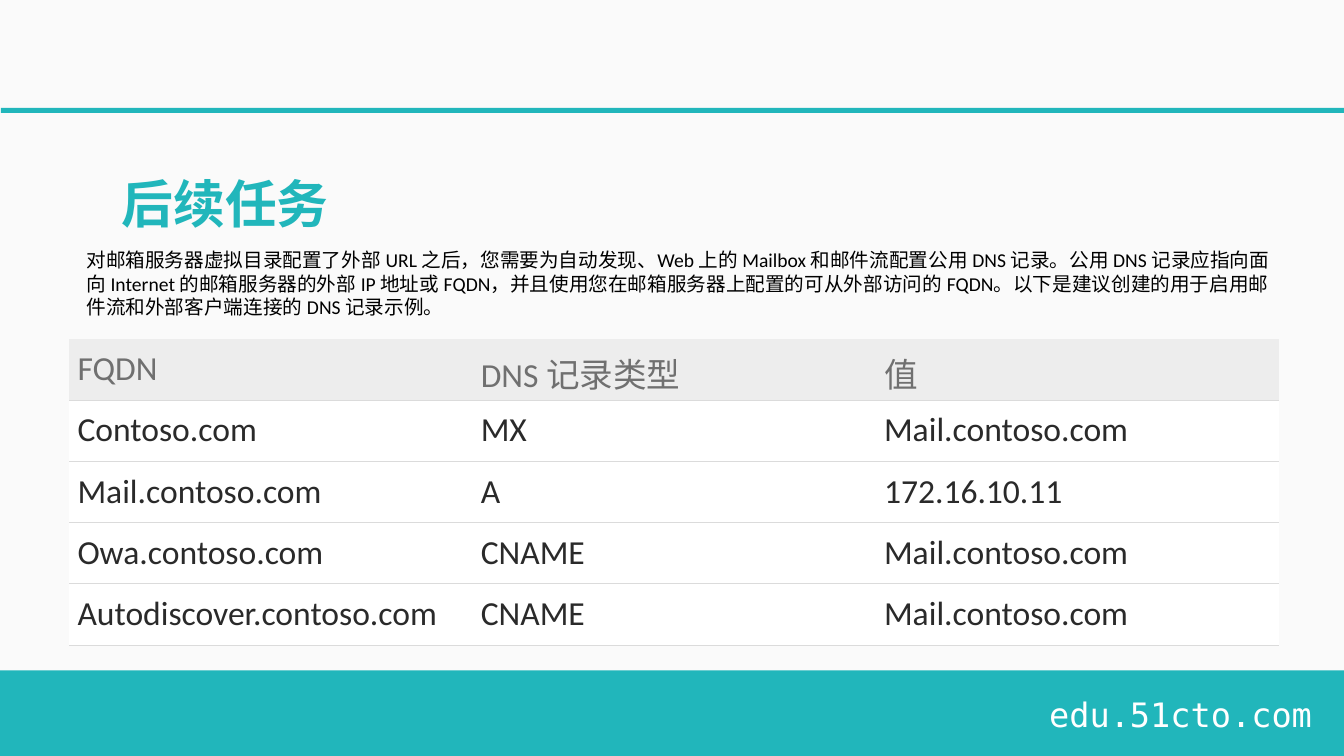
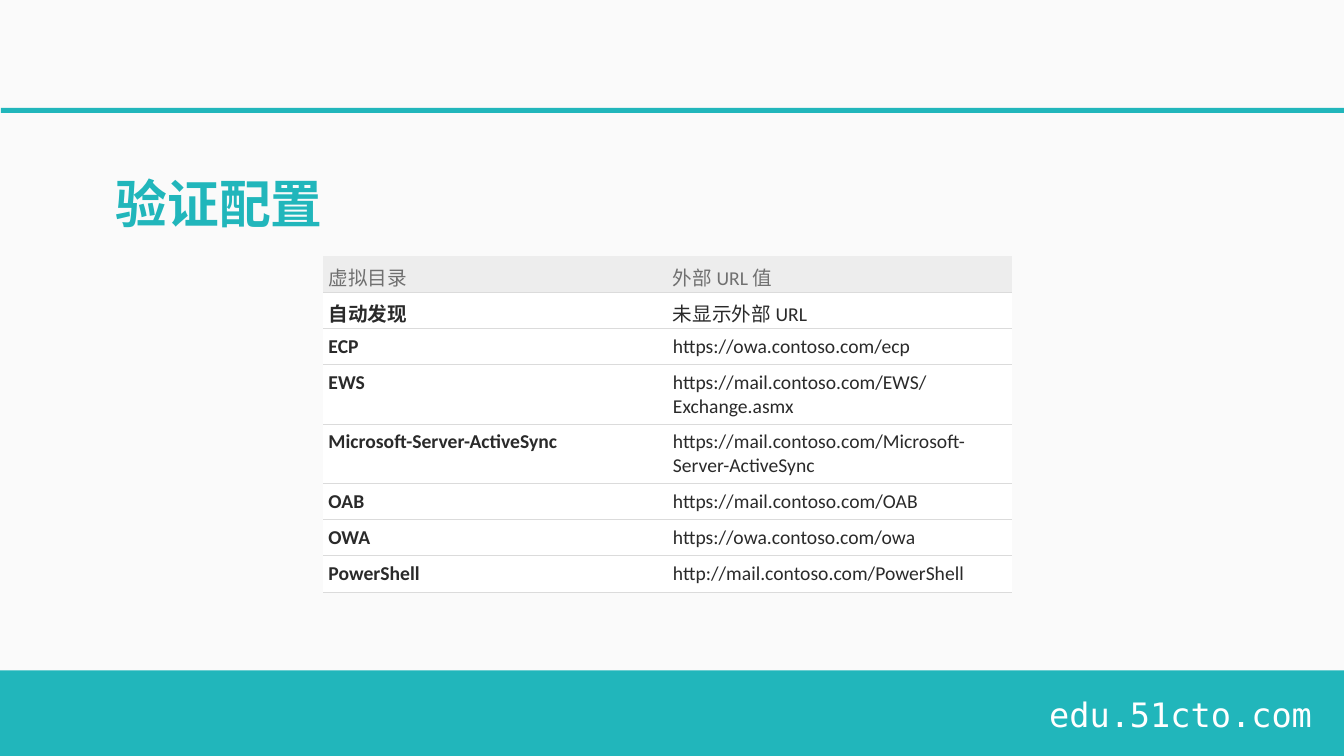
from lxml.etree import SubElement
from pptx import Presentation
from pptx.dml.color import RGBColor
from pptx.enum.shapes import MSO_SHAPE as Shape
from pptx.enum.text import MSO_ANCHOR as Anchor, PP_ALIGN as Align
from pptx.oxml.ns import qn
from pptx.util import Pt

WIDTH, HEIGHT = 960.48, 540
TEAL, WHITE, BLACK = "21B6BB", "FFFFFF", "000000"
HEAD_FILL, HEAD_TEXT, BODY_TEXT, RULE = "EDEDED", "707070", "2A2A2A", "DBDBDB"
LATIN, CHINESE, MONO = "Calibri", "Noto Sans CJK SC", "DejaVu Sans Mono"
NO_STYLE = "{2D5ABB26-0587-4C30-8999-92F81FD0307C}"

INTRO = (
    "对邮箱服务器虚拟目录配置了外部 URL 之后，您需要为自动发现、Web 上的 Mailbox 和邮件流配置公用 DNS 记录。"
    "公用 DNS 记录应指向面向 Internet 的邮箱服务器的外部 IP 地址或 FQDN，"
    "并且使用您在邮箱服务器上配置的可从外部访问的 FQDN。"
    "以下是建议创建的用于启用邮件流和外部客户端连接的 DNS 记录示例。"
)
DNS_RECORDS = [
    ("FQDN", "DNS 记录类型", "值"),
    ("Contoso.com", "MX", "Mail.contoso.com"),
    ("Mail.contoso.com", "A", "172.16.10.11"),
    ("Owa.contoso.com", "CNAME", "Mail.contoso.com"),
    ("Autodiscover.contoso.com", "CNAME", "Mail.contoso.com"),
]
VIRTUAL_DIRECTORIES = [
    ("虚拟目录", "外部 URL 值"),
    ("自动发现", "未显示外部 URL"),
    ("ECP", "https://owa.contoso.com/ecp"),
    ("EWS", "https://mail.contoso.com/EWS/Exchange.asmx"),
    ("Microsoft-Server-ActiveSync", "https://mail.contoso.com/Microsoft-Server-ActiveSync"),
    ("OAB", "https://mail.contoso.com/OAB"),
    ("OWA", "https://owa.contoso.com/owa"),
    ("PowerShell", "http://mail.contoso.com/PowerShell"),
]


def color(value):
    return RGBColor.from_string(value)


class Course:
    """Holds the deck style and draws elements on the current slide."""

    def __init__(self):
        self.deck = Presentation()
        self.deck.slide_width, self.deck.slide_height = Pt(WIDTH), Pt(HEIGHT)

    def start(self, title, left):
        self.page = self.deck.slides.add_slide(self.deck.slide_layouts[6])
        fill = self.page.background.fill
        fill.gradient()
        fill.gradient_angle = 270
        for stop, shade in zip(fill.gradient_stops, ("FAFAFA", "FCFCFC")):
            stop.color.rgb = color(shade)
        self.band(0, 478.8, WIDTH, 61.2)
        self.band(0.72, 77, WIDTH - 0.72, 3.6)
        self.text("edu.51cto.com", (553.7, 491.8, 391, 36), 24, WHITE, MONO, align=Align.RIGHT)
        self.text(title, (left, 116.6, 803.5, 56.9), 37, TEAL, CHINESE, bold=True, anchor=Anchor.MIDDLE)

    def band(self, *place):
        band = self.page.shapes.add_shape(Shape.RECTANGLE, *map(Pt, place))
        band.shadow.inherit = False
        band.fill.solid()
        band.fill.fore_color.rgb = color(TEAL)
        band.line.fill.background()

    def span(self, para, words, size, ink, font=LATIN, bold=False):
        span = para.add_run()
        span.text = words
        span.font.size, span.font.name, span.font.bold = Pt(size), font, bold
        span.font.color.rgb = color(ink)
        SubElement(span.font._element, qn("a:ea"), typeface=CHINESE)

    def text(self, words, place, size, ink, font=LATIN, bold=False, align=Align.LEFT, anchor=Anchor.TOP):
        box = self.page.shapes.add_textbox(*map(Pt, place))
        frame = box.text_frame
        frame.word_wrap = True
        frame.vertical_anchor = anchor
        para = frame.paragraphs[0]
        para.alignment = align
        self.span(para, words, size, ink, font, bold)

    def border(self, cell, side):
        line = SubElement(cell._tc.get_or_add_tcPr(), qn(f"a:{side}"), w=str(Pt(0.75)))
        SubElement(SubElement(line, qn("a:solidFill")), qn("a:srgbClr"), val=RULE)

    def table(self, rows, place, heights, size, inset, bold_names=False):
        frame = self.page.shapes.add_table(len(rows), len(rows[0]), *map(Pt, place))
        next(frame.element.iter(qn("a:tableStyleId"))).text = NO_STYLE
        table = frame.table
        table.first_row = table.horz_banding = False
        for row_index, (values, height) in enumerate(zip(rows, heights)):
            table.rows[row_index].height = Pt(height)
            head = row_index == 0
            for column, words in enumerate(values):
                cell = table.cell(row_index, column)
                cell.margin_left = cell.margin_right = Pt(inset[0])
                cell.margin_top = cell.margin_bottom = Pt(inset[1])
                cell.vertical_anchor = Anchor.MIDDLE if head else Anchor.TOP
                for side in ("lnB",) if head else ("lnT", "lnB"):
                    self.border(cell, side)
                cell.fill.solid()
                cell.fill.fore_color.rgb = color(HEAD_FILL if head else WHITE)
                bold = bold_names and column == 0 and not head
                self.span(cell.text_frame.paragraphs[0], words, size, HEAD_TEXT if head else BODY_TEXT, bold=bold)


def main():
    course = Course()
    course.start("后续任务", 80)
    course.table(DNS_RECORDS, (49.4, 241.9, 864.6, 219), [43.8] * 5, 24, (6, 7.2))
    course.text(INTRO, (54.7, 173.5, 864.7, 58.3), 14, BLACK)

    course.start("验证配置", 75.6)
    heights = [41 if len(url) > 40 else 25.3 for _, url in VIRTUAL_DIRECTORIES]
    course.table(VIRTUAL_DIRECTORIES, (231, 182.9, 492.4, sum(heights)), heights, 14, (3.75, 4.5), bold_names=True)
    course.deck.save("out.pptx")


if __name__ == "__main__":
    main()
